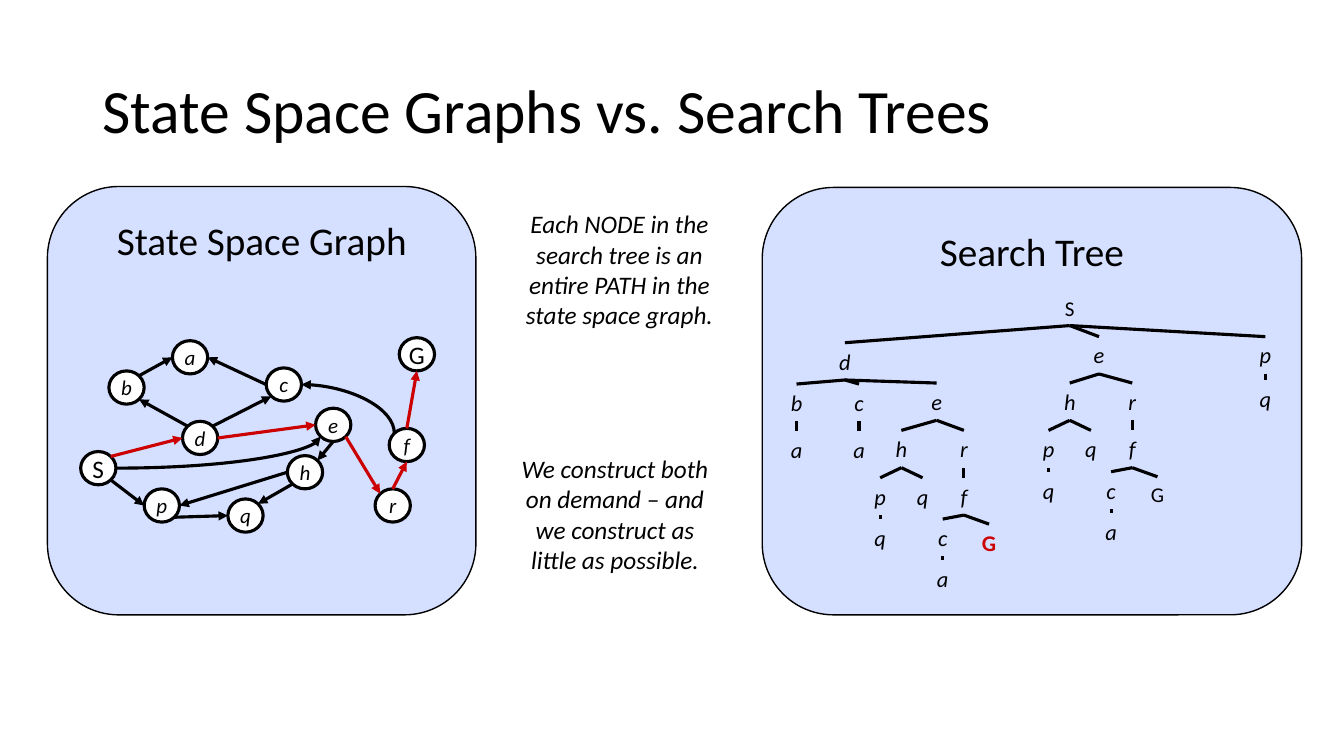
from math import cos, radians, sin

from pptx import Presentation
from pptx.dml.color import RGBColor
from pptx.enum.shapes import MSO_CONNECTOR as LINE, MSO_SHAPE as SHAPE
from pptx.enum.text import MSO_ANCHOR as ANCHOR, PP_ALIGN as ALIGN
from pptx.oxml.ns import qn
from pptx.util import Inches, Pt
from lxml import etree

BLACK, WHITE, RED, PALE_BLUE = "000000", "FFFFFF", "CC0000", "D5DFFF"

PANELS = [(0.47, 1.85, 4.25, 4.25), (7.56, 1.86, 5.35, 4.24)]
TITLE = "State Space Graphs vs. Search Trees"
HEADINGS = [
    ("State Space Graph", 0.72, 2.1, 3.75, 0.57),
    ("Search Tree", 7.57, 2.21, 5.33, 0.57),
]
NOTES = [
    ("Each NODE in the search tree is an entire PATH in the state space graph.",
     5.06, 2.02, 2.17, 1.31),
    ("We construct both on demand – and we construct as little as possible.",
     4.97, 4.45, 2.26, 1.31),
]

# State space graph: left and top of each node
NODE_W, NODE_H = 0.35, 0.33
STATES = {
    "S": (0.8, 4.48), "G": (3.96, 3.35), "d": (1.81, 4.18), "b": (1.08, 3.68),
    "p": (1.43, 4.85), "q": (2.26, 4.95), "c": (2.64, 3.65), "e": (3.13, 4.05),
    "h": (2.85, 4.52), "a": (1.71, 3.38), "f": (3.86, 4.25), "r": (3.72, 4.85),
}
# From state and side, to state and side, colour
ARROWS = [
    ("S", "SE", "p", "W", BLACK), ("p", "SE", "q", "W", BLACK),
    ("h", "SW", "q", "NE", BLACK), ("h", "W", "p", "E", BLACK),
    ("e", "S", "h", "NE", BLACK), ("e", "SE", "r", "NW", RED),
    ("r", "N", "f", "S", RED), ("f", "N", "G", "S", RED),
    ("S", "NE", "d", "W", RED), ("d", "NW", "b", "SE", BLACK),
    ("b", "NE", "a", "W", BLACK), ("c", "W", "a", "E", BLACK),
    ("d", "NE", "c", "SW", BLACK), ("d", "E", "e", "W", RED),
]
# Curves leave their first state sideways; the last item is the arrow's end
CURVES = [("c", "E", "f", "NW", "headEnd"), ("S", "E", "e", "SW", "tailEnd")]
SIDES = ["E", "SE", "S", "SW", "W", "NW", "N", "NE"]

# Search tree: key, parent key, centre x, top
TREE = [
    ("S", None, 10.61, 2.88),
    ("d", "S", 8.38, 3.4), ("e", "S", 10.9, 3.34), ("p", "S", 12.55, 3.34),
    ("q", "p", 12.55, 3.77),
    ("b", "d", 7.9, 3.81), ("c", "d", 8.52, 3.81), ("e2", "d", 9.29, 3.8),
    ("a1", "b", 7.9, 4.28), ("a2", "c", 8.52, 4.28),
]
# Branch below each e, measured from its h: key, parent key, dx, dy
BRANCH = [
    ("h", "e", 0, 0), ("r", "e", 0.62, 0),
    ("p", "h", -0.21, 0.47), ("q1", "h", 0.21, 0.47), ("f", "r", 0.62, 0.47),
    ("q2", "p", -0.21, 0.88), ("c", "f", 0.41, 0.88), ("G", "f", 0.87, 0.93),
    ("a", "c", 0.41, 1.29),
]
# e of the branch, position of its h, and look of its goal: size, colour, bold
BRANCHES = [("e", 10.61, 3.8, (15, BLACK, False)), ("e2", 8.94, 4.27, (16, RED, True))]


def color(value):
    return RGBColor.from_string(value)


def write(box, text, size, ink=BLACK, italic=False, bold=False,
          align=ALIGN.CENTER, anchor=ANCHOR.TOP, wrap=True):
    frame = box.text_frame
    frame.word_wrap = wrap
    frame.vertical_anchor = anchor
    para = frame.paragraphs[0]
    para.text = text
    para.alignment = align
    font = para.font
    font.name, font.size, font.italic, font.bold = "Calibri", Pt(size), italic, bold
    font.color.rgb = color(ink)
    return para


def add_text(left, top, width, height, text, size, **look):
    box = page.shapes.add_textbox(*map(Inches, (left, top, width, height)))
    return write(box, text, size, **look)


def add_filled(kind, left, top, width, height, fill, weight):
    shape = page.shapes.add_shape(kind, *map(Inches, (left, top, width, height)))
    shape.shadow.inherit = False
    shape.fill.solid()
    shape.fill.fore_color.rgb = color(fill)
    shape.line.color.rgb = color(BLACK)
    shape.line.width = Pt(weight)
    return shape


def add_line(start, end, ink=BLACK, arrow=None, curved=False):
    """Arrow names the end that carries the arrowhead: headEnd or tailEnd."""
    kind = LINE.CURVE if curved else LINE.STRAIGHT
    line = page.shapes.add_connector(kind, *map(Inches, (*start, *end)))
    line.line.color.rgb = color(ink)
    line.line.width = Pt(2.25)
    properties = line._element.spPr
    if curved:
        properties.find(qn("a:prstGeom")).set("prst", "curvedConnector2")
    if arrow:
        etree.SubElement(properties.find(qn("a:ln")), qn("a:" + arrow), type="triangle")
    etree.SubElement(properties, qn("a:effectLst"))


def rim(state, side):
    """Point on a node's outline in a compass direction."""
    left, top = STATES[state]
    angle = radians(45 * SIDES.index(side))
    return (left + NODE_W / 2 * (1 + cos(angle)), top + NODE_H / 2 * (1 + sin(angle)))


def draw_graph():
    for state, (left, top) in STATES.items():
        node = add_filled(SHAPE.FLOWCHART_CONNECTOR, left, top, NODE_W, NODE_H, WHITE, 2.25)
        capital = state.isupper()
        write(node, state, 18 if capital else 15, italic=not capital,
              anchor=ANCHOR.MIDDLE, wrap=False)
    for source, leave, target, enter, ink in ARROWS:
        add_line(rim(source, leave), rim(target, enter), ink, "tailEnd")
    for source, leave, target, enter, arrow in CURVES:
        add_line(rim(source, leave), rim(target, enter), arrow=arrow, curved=True)


def draw_tree(nodes, goal=(15, BLACK, False), placed=None):
    """Draw nodes with a line from each parent; return bottom centres by key."""
    bottoms = dict(placed or {})
    for key, parent, x, top in nodes:
        letter = key[0]
        capital = letter.isupper()
        size, ink, bold = goal if capital else (16, BLACK, False)
        width = {"S": 0.9, "G": 0.69}.get(letter, 0.35)
        height = 0.35 if size == 15 else 0.37
        add_text(x - width / 2, top, width, height, letter, size,
                 ink=ink, bold=bold, italic=not capital)
        bottoms[key] = (x, top + height)
        if parent:
            add_line(bottoms[parent], (x, top))
    return bottoms


deck = Presentation()
deck.slide_width, deck.slide_height = Inches(13.33), Inches(7.5)
page = deck.slides.add_slide(deck.slide_layouts[6])

for panel in PANELS:
    add_filled(SHAPE.ROUNDED_RECTANGLE, *panel, PALE_BLUE, 1)
title = add_text(0.92, 0.4, 11.5, 1.45, TITLE, 44, align=ALIGN.LEFT, anchor=ANCHOR.MIDDLE)
title.line_spacing = 0.9

trunk = draw_tree(TREE)
for root, h_x, h_top, goal in BRANCHES:
    nodes = [(key, parent, h_x + dx, h_top + dy) for key, parent, dx, dy in BRANCH]
    draw_tree(nodes, goal, {"e": trunk[root]})
draw_graph()

for text, *place in NOTES:
    add_text(*place, text, 18, italic=True)
for text, *place in HEADINGS:
    add_text(*place, text, 28)

deck.save("out.pptx")
